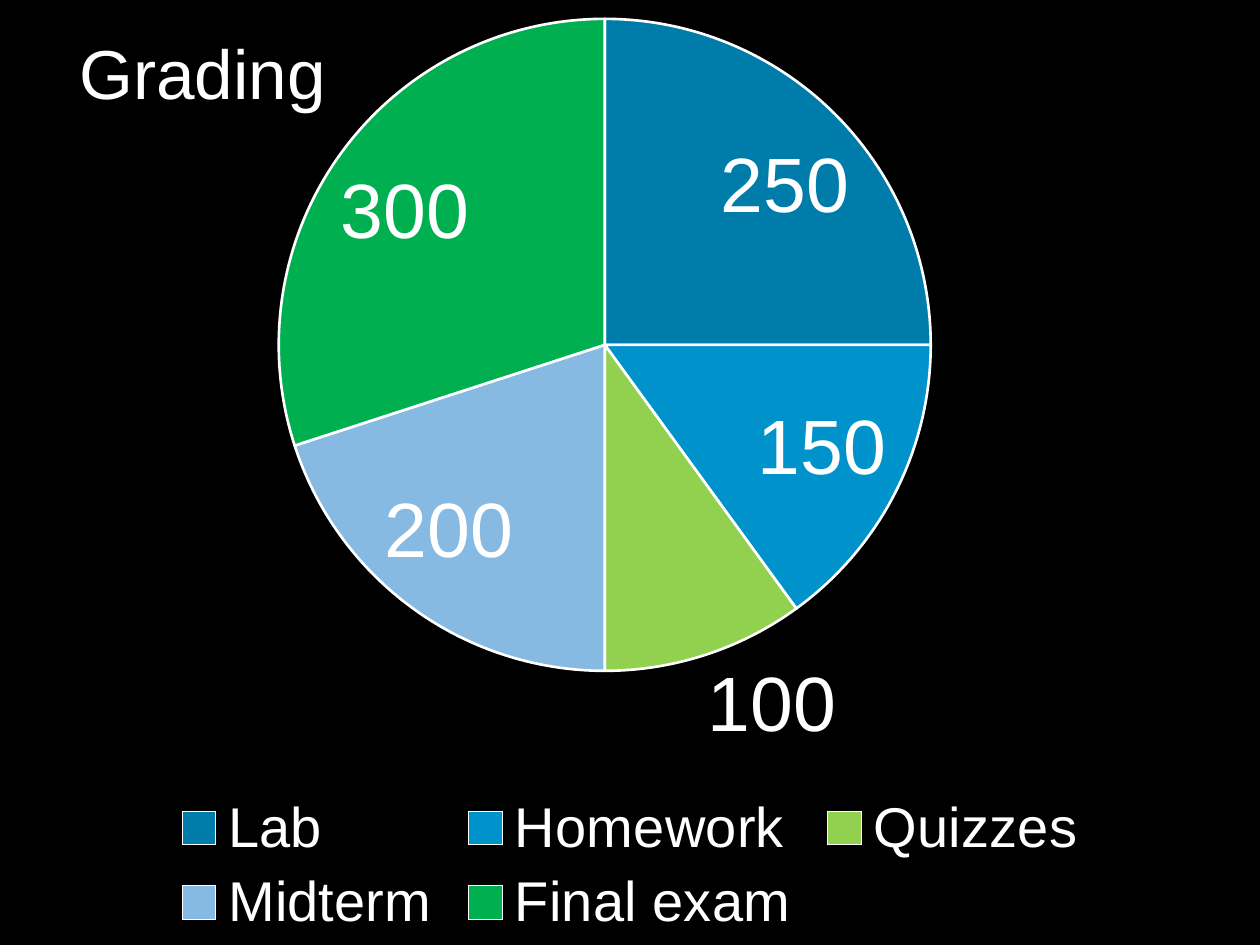
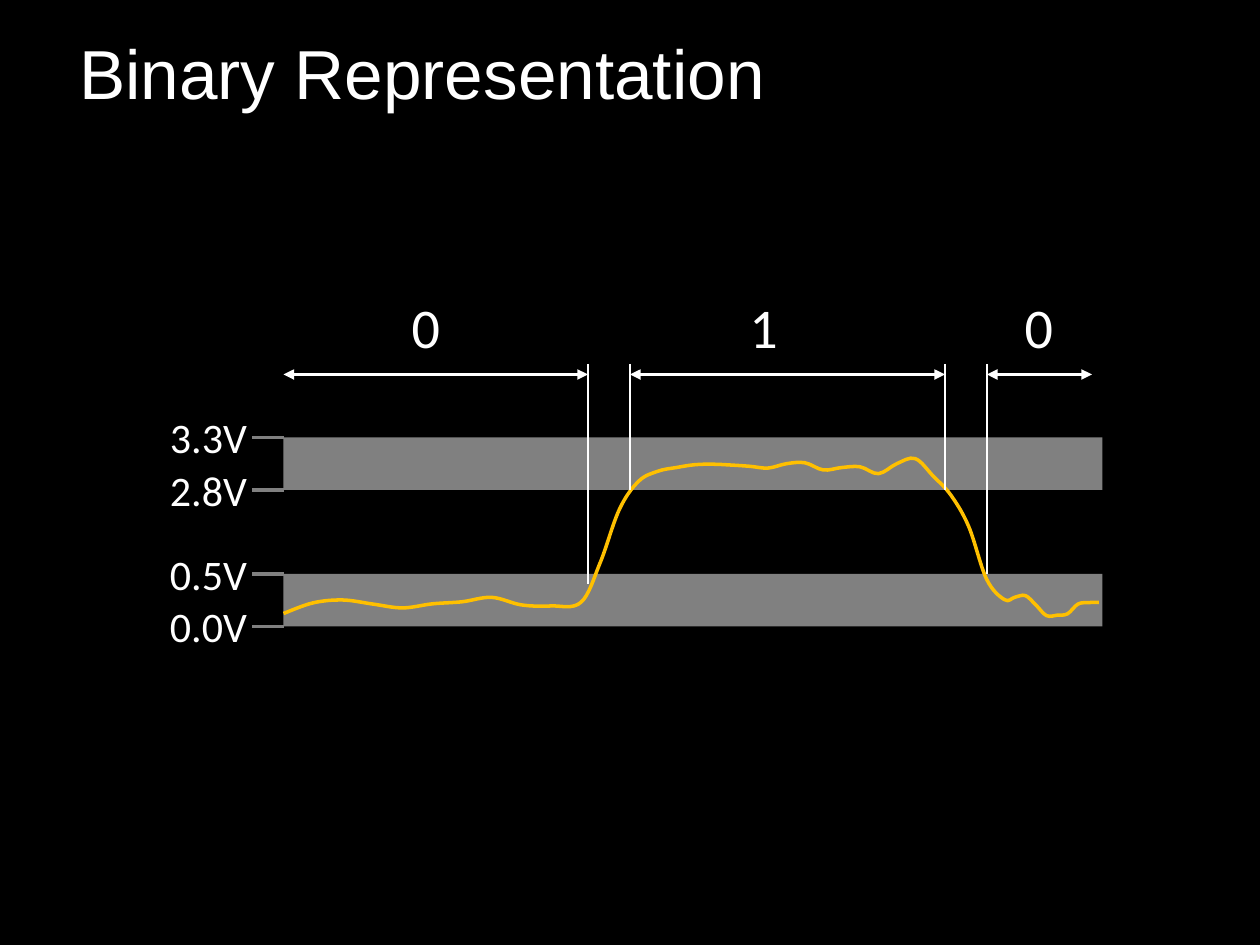
from dataclasses import dataclass

from lxml.etree import SubElement
from pptx import Presentation
from pptx.chart.data import CategoryChartData
from pptx.dml.color import RGBColor as RGB
from pptx.enum.chart import XL_CHART_TYPE as ChartType, XL_LABEL_POSITION as LabelPos, XL_LEGEND_POSITION as LegendPos
from pptx.enum.shapes import MSO_CONNECTOR as Connector, MSO_SHAPE as Shape
from pptx.enum.text import MSO_ANCHOR as Anchor, PP_ALIGN as Align
from pptx.oxml import parse_xml
from pptx.oxml.ns import nsdecls, qn
from pptx.util import Pt


@dataclass(frozen=True)
class Theme:
    background: RGB = RGB(0, 0, 0)
    text: RGB = RGB(255, 255, 255)
    band: RGB = RGB(0x80, 0x80, 0x80)
    signal: RGB = RGB(0xFF, 0xC0, 0x00)
    heading_font: str = "Arial"
    label_font: str = "Calibri"
    title_size: float = 39.6
    legend_size: int = 32
    value_size: int = 44
    voltage_size: int = 24
    bit_size: int = 32
    thin: float = 1
    slice_edge: float = 1.5
    thick: float = 2


theme = Theme()


def add_text(slide, text, left, top, width, height, size, font=theme.label_font,
             align=Align.LEFT, wrap=True):
    frame = slide.shapes.add_textbox(Pt(left), Pt(top), Pt(width), Pt(height)).text_frame
    frame.word_wrap = wrap
    paragraph = frame.paragraphs[0]
    paragraph.text = text
    paragraph.alignment = align
    paragraph.font.name = font
    paragraph.font.size = Pt(size)
    paragraph.font.color.rgb = theme.text
    return frame


def add_line(slide, x1, y1, x2, y2, color, width, arrows=False):
    line = slide.shapes.add_connector(Connector.STRAIGHT, Pt(x1), Pt(y1), Pt(x2), Pt(y2))
    line.line.color.rgb = color
    line.line.width = Pt(width)
    properties = line._element.spPr
    SubElement(properties, qn("a:effectLst"))
    if arrows:
        for end in ("a:headEnd", "a:tailEnd"):
            SubElement(properties.find(qn("a:ln")), qn(end), type="triangle")


prs = Presentation()
prs.slide_width, prs.slide_height = Pt(720), Pt(540)

# Shared background and title
slides = []
for heading in ("Grading", "Binary Representation"):
    slide = prs.slides.add_slide(prs.slide_layouts[6])
    slide.background.fill.solid()
    slide.background.fill.fore_color.rgb = theme.background
    title = add_text(slide, heading, 38.2, 20.5, 620.6, 46.8, theme.title_size, theme.heading_font)
    title.vertical_anchor = Anchor.MIDDLE
    title.paragraphs[0].line_spacing = 0.9
    slides.append(slide)
grading, binary = slides

# Grading: points per kind of work
points = {
    "Lab": (250, "007CAB"),
    "Homework": (150, "0093CB"),
    "Quizzes": (100, "92D050"),
    "Midterm": (200, "87BAE2"),
    "Final exam": (300, "00B050"),
}
grades = CategoryChartData()
grades.categories = list(points)
grades.add_series("Series 1", [value for value, _ in points.values()])
chart = grading.shapes.add_chart(ChartType.PIE, 0, 0, prs.slide_width, prs.slide_height, grades).chart
chart.has_title = False
chart.font.name = theme.heading_font
chart.font.size = Pt(10)

chart.has_legend = True
legend = chart.legend
legend.position = LegendPos.BOTTOM
legend.include_in_layout = False

pie = chart.plots[0]
pie.vary_by_categories = True
for index, (_, color) in enumerate(points.values()):
    slice_format = pie.series[0].points[index].format
    slice_format.fill.solid()
    slice_format.fill.fore_color.rgb = RGB.from_string(color)
    slice_format.line.color.rgb = theme.text
    slice_format.line.width = Pt(theme.slice_edge)

pie.has_data_labels = True
values = pie.data_labels
values.show_value = True
values.show_percentage = False
values.position = LabelPos.BEST_FIT

for part, size in ((legend, theme.legend_size), (values, theme.value_size)):
    part.font.name = theme.heading_font
    part.font.size = Pt(size)
    part.font.color.rgb = theme.text

# Pie area as fractions of the chart
plot_area = chart._chartSpace.find(".//" + qn("c:plotArea"))
for automatic in plot_area.findall(qn("c:layout")):
    plot_area.remove(automatic)
area = {"x": 0.22, "y": 0.02, "w": 0.52, "h": 0.69}
fractions = "".join(f'<c:{side} val="{value}"/>' for side, value in area.items())
plot_area.insert(0, parse_xml(
    f'<c:layout {nsdecls("c")}><c:manualLayout><c:layoutTarget val="inner"/>'
    f'<c:xMode val="edge"/><c:yMode val="edge"/>{fractions}</c:manualLayout></c:layout>'))

# Binary: voltage bands for a low and a high bit
axis_x = 162
band_width = 468
levels = {"3.3V": 250, "2.8V": 280, "0.5V": 328, "0.0V": 358}
ground = levels["0.0V"]
for upper, lower in (("0.5V", "0.0V"), ("3.3V", "2.8V")):
    band = binary.shapes.add_shape(Shape.RECTANGLE, Pt(axis_x), Pt(levels[upper]),
                                   Pt(band_width), Pt(levels[lower] - levels[upper]))
    band.shadow.inherit = False
    band.fill.solid()
    band.fill.fore_color.rgb = theme.band
    band.line.fill.background()

# Signal: each phase has an even time step and its heights above ground
phases = {
    "noisy low": (17, [13.5, 15.1, 12.8, 10.6, 12.9, 14.1, 16.6, 12.3, 11.7, 13.8]),
    "rise": (11, [36.5, 67, 83, 88.7]),
    "noisy high": (10.5, [90.8, 92.4, 92.7, 92.2, 91.5, 90.5, 93, 93.5, 89.4, 90.8, 91.2, 87.3, 93, 95.9]),
    "fall": (10.2, [86, 75, 57, 27, 15.3]),
    "low again": (6, [16.7, 17.6, 12.2, 6.2, 6.4, 7.2, 12.8, 13.6, 13.8]),
}
samples = [(axis_x, ground - 7.4)]
for step, heights in phases.values():
    for height in heights:
        samples.append((samples[-1][0] + step, ground - height))

# Smooth curve: the slope at a sample follows its two neighbours (Catmull-Rom)
padded = [samples[0], *samples, samples[-1]]
bezier_points = []
for before, here, there, after in zip(padded, padded[1:], padded[2:], padded[3:]):
    leaving = [h + (t - b) / 6 for b, h, t in zip(before, here, there)]
    arriving = [t - (a - h) / 6 for h, t, a in zip(here, there, after)]
    bezier_points += [leaving, arriving, there]

start_x, start_y = samples[0]
builder = binary.shapes.build_freeform(Pt(start_x), Pt(start_y))
builder.add_line_segments([(Pt(x), Pt(y)) for x, y in bezier_points], close=False)
signal = builder.convert_to_shape()
signal.shadow.inherit = False
signal.fill.background()
signal.line.color.rgb = theme.signal
signal.line.width = Pt(theme.thick)

# Join every three segments into one Bézier curve
segments = list(signal._element.iter(qn("a:lnTo")))
outline = segments[0].getparent()
for first in range(0, len(segments), 3):
    bezier = SubElement(outline, qn("a:cubicBezTo"))
    for segment in segments[first:first + 3]:
        bezier.append(segment[0])
        outline.remove(segment)

# Voltage ticks and labels
tick_length = 18
for voltage, y in levels.items():
    add_line(binary, axis_x, y, axis_x - tick_length, y, theme.band, theme.thick)
    add_text(binary, voltage, 90, y - 18.2, 59, 36, theme.voltage_size, wrap=False)

# Times at which the signal leaves or enters a band
leaves_low, enters_high, leaves_high, enters_low = 336, 360, 540, 564
span_y = 214
digit_width = 37.4

# Bit spans: digit, left end, right end, digit centre
for bit, left, right, center in (
    ("0", axis_x, leaves_low, 243.4),
    ("1", enters_high, leaves_high, 436.3),
    ("0", enters_low, 624, 593.6),
):
    add_line(binary, left, span_y, right, span_y, theme.text, theme.thick, arrows=True)
    add_text(binary, bit, center - digit_width / 2, span_y - 50.6, digit_width, 46,
             theme.bit_size, align=Align.CENTER)

# Guides from the spans down to the signal
for x, bottom in (
    (leaves_low, levels["0.5V"] + 6),
    (enters_high, levels["2.8V"]),
    (leaves_high, levels["2.8V"]),
    (enters_low, levels["0.5V"]),
):
    add_line(binary, x, span_y - 6, x, bottom, theme.text, theme.thin)

prs.save("out.pptx")
